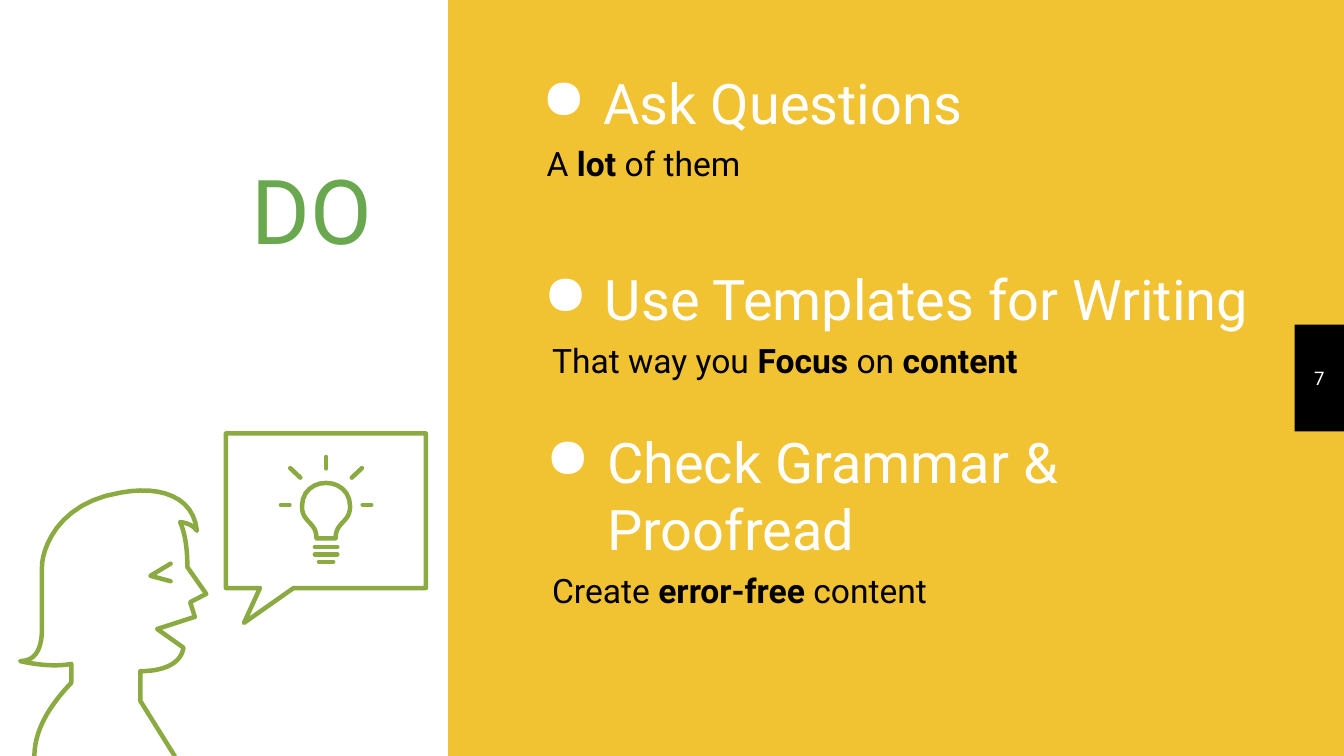
from dataclasses import dataclass

from lxml import etree
from pptx import Presentation
from pptx.dml.color import RGBColor
from pptx.enum.shapes import MSO_CONNECTOR, MSO_SHAPE
from pptx.enum.text import MSO_ANCHOR, MSO_AUTO_SIZE, PP_ALIGN
from pptx.oxml.ns import qn
from pptx.util import Pt

RECT = MSO_SHAPE.RECTANGLE
LINE = MSO_CONNECTOR.STRAIGHT
TOP, MIDDLE, BOTTOM = MSO_ANCHOR.TOP, MSO_ANCHOR.MIDDLE, MSO_ANCHOR.BOTTOM
LEFT, CENTER = PP_ALIGN.LEFT, PP_ALIGN.CENTER
FIXED = MSO_AUTO_SIZE.NONE

FONT = "Roboto"
GOLD, WHITE, BLACK = "F1C232", "FFFFFF", "000000"
GREEN, LIME = "6AA84F", "8BAB42"
PEN = 2.4
STEPS = 12
AXIS = 174.7


@dataclass
class Tip:
    """A bulleted heading and its note, where odd parts of the note are bold."""
    head: str
    note: tuple
    x: float
    y: float
    note_x: float
    note_y: float


@dataclass
class Stroke:
    """A pen path whose steps are points (2 numbers) or cubic curves (6)."""
    start: tuple
    steps: tuple
    closed: bool = False


TIPS = (
    Tip("Ask Questions", ("A ", "lot", " of them"), 280.1, 9.4, 285.8, 69.1),
    Tip("Use Templates for Writing", ("That way you ", "Focus", " on ", "content"),
        281, 114.5, 288.7, 175),
    Tip("Check Grammar & Proofread", ("Create ", "error-free", " content"),
        282.2, 237.6, 288.7, 298.1),
)

HEAD = Stroke((18.4, 405), (
    (18.7, 392.4, 24.5, 380.2, 38.2, 365.8), (38.2, 355.7),
    (28.8, 357.5, 17.3, 355.7, 10.8, 354.2),
    (20.2, 354.2, 22.7, 345.6, 22.5, 335.5), (22.5, 303.8),
    (22.3, 295.2, 30.2, 269.3, 64.8, 263.9),
    (86.4, 259.9, 103.7, 266.4, 105.5, 284.4),
    (103.7, 281.5, 100.1, 280.1, 96.5, 279.7),
    (98.6, 284.4, 100.4, 291.6, 100.4, 303.8),
    (110.5, 318.2), (101.9, 322.6), (104.4, 330.5), (84.2, 337), (98.3, 347),
    (97.2, 354.2, 90, 359.6, 75.2, 359.6), (75.2, 375.5), (93.6, 405)))
EYE = Stroke((91.4, 302), ((80.6, 308.5), (91.4, 311.4)))
BUBBLE = Stroke((121, 232.2), (
    (228.2, 232.2), (228.2, 315), (157.3, 315), (130.7, 333.7),
    (139.3, 315), (121, 315)), True)
BULB = Stroke((169.6, 288.4), (
    (169.6, 279.5, 161.8, 280, 161.8, 271.4),
    (161.8, 254.5, 187.6, 254.5, 187.6, 271.4),
    (187.6, 280, 179.8, 279.5, 179.8, 288.4)), True)

RAYS = ((13.8, 255.9, 19.2, 250.8), (19.6, 270.5, 24.2, 270.5))
BASES = ((6, 293), (6, 297), (3.8, 301))


def tint(value: str) -> RGBColor:
    """Turn a hex string into a colour."""
    return RGBColor.from_string(value)


def flat(points: tuple, last: tuple) -> list:
    """Give the points along one step."""
    if len(points) == 2:
        return [points]
    ctrl = (last, points[:2], points[2:4], points[4:])
    spots = []
    for step in range(1, STEPS + 1):
        t = step / STEPS
        mix = ((1 - t) ** 3, 3 * t * (1 - t) ** 2, 3 * t * t * (1 - t), t ** 3)
        spots.append(tuple(sum(m * c[axis] for m, c in zip(mix, ctrl)) for axis in (0, 1)))
    return spots


def ink(shape) -> None:
    """Give a shape the round green pen."""
    shape.line.color.rgb = tint(LIME)
    shape.line.width = Pt(PEN)
    edge = shape.line._get_or_add_ln()
    edge.set("cap", "rnd")
    etree.SubElement(edge, qn("a:round"))


def draw(slide, stroke: Stroke) -> None:
    """Draw a stroke as a freeform."""
    spots = [stroke.start]
    for step in stroke.steps:
        spots += flat(step, spots[-1])
    spots = [(Pt(x), Pt(y)) for x, y in spots]
    pen = slide.shapes.build_freeform(*spots[0])
    pen.add_line_segments(spots[1:], close=stroke.closed)
    shape = pen.convert_to_shape()
    shape.fill.background()
    shape.shadow.inherit = False
    ink(shape)


def dash(slide, x1: float, y1: float, x2: float, y2: float) -> None:
    """Draw one short straight line."""
    line = slide.shapes.add_connector(LINE, Pt(x1), Pt(y1), Pt(x2), Pt(y2))
    ink(line)
    etree.SubElement(line.element.spPr, qn("a:effectLst"))


def block(slide, x: float, y: float, w: float, h: float, color: str):
    """Add a plain filled rectangle."""
    shape = slide.shapes.add_shape(RECT, Pt(x), Pt(y), Pt(w), Pt(h))
    shape.fill.solid()
    shape.fill.fore_color.rgb = tint(color)
    shape.line.fill.background()
    shape.shadow.inherit = False
    return shape


def write(shape, parts: tuple, size: float, color: str, anchor, align=LEFT):
    """Set the text of a shape, with odd parts bold, and return its paragraph."""
    frame = shape.text_frame
    frame.word_wrap = True
    frame.auto_size = FIXED
    frame.vertical_anchor = anchor
    frame.margin_left = frame.margin_right = Pt(7.2)
    frame.margin_top = frame.margin_bottom = Pt(7.2)
    para = frame.paragraphs[0]
    para.alignment = align
    para.font.name = FONT
    para.font.size = Pt(size)
    para.font.color.rgb = tint(color)
    for spot, part in enumerate(parts):
        run = para.add_run()
        run.text = part
        if spot % 2:
            run.font.bold = True
    return para


def dot(para) -> None:
    """Give a paragraph a hanging white bullet."""
    props = para._p.get_or_add_pPr()
    props.set("marL", str(Pt(36)))
    props.set("indent", str(-Pt(33)))
    mark = etree.Element(qn("a:buChar"), char="●")
    hue = etree.Element(qn("a:buClr"))
    etree.SubElement(hue, qn("a:srgbClr"), val=WHITE)
    props.insert(0, hue)
    props.insert(1, mark)


def show(slide, tip: Tip) -> None:
    """Add the heading and note of a tip."""
    box = slide.shapes.add_textbox(Pt(tip.x), Pt(tip.y), Pt(421), Pt(70.6))
    dot(write(box, (tip.head,), 30, WHITE, BOTTOM))
    box = slide.shapes.add_textbox(Pt(tip.note_x), Pt(tip.note_y), Pt(386), Pt(36.7))
    write(box, tip.note, 18, BLACK, TOP).space_before = Pt(6)


def main() -> None:
    """Build and save the slide."""
    deck = Presentation()
    deck.slide_width, deck.slide_height = Pt(720), Pt(405)
    slide = deck.slides.add_slide(deck.slide_layouts[5])
    slide.background.fill.solid()
    slide.background.fill.fore_color.rgb = tint(GOLD)

    title = slide.shapes.title
    panel = block(slide, 0, 0, 240, 405, WHITE)
    title.element.addprevious(panel.element)
    title.left, title.top, title.width, title.height = Pt(23), Pt(77), Pt(215), Pt(70.6)
    write(title, ("DO",), 48, GREEN, BOTTOM)
    title.text_frame.margin_left = Pt(112)

    badge = block(slide, 693.5, 174, 26.5, 57.2, BLACK)
    write(badge, ("7",), 10, WHITE, MIDDLE, CENTER)

    for stroke in (HEAD, EYE, BUBBLE, BULB):
        draw(slide, stroke)
    for side in (-1, 1):
        for x1, y1, x2, y2 in RAYS:
            dash(slide, AXIS + side * x1, y1, AXIS + side * x2, y2)
    dash(slide, AXIS, 244.8, AXIS, 251)
    for half, y in BASES:
        dash(slide, AXIS - half, y, AXIS + half, y)

    for tip in TIPS:
        show(slide, tip)
    deck.save("out.pptx")


if __name__ == "__main__":
    main()
